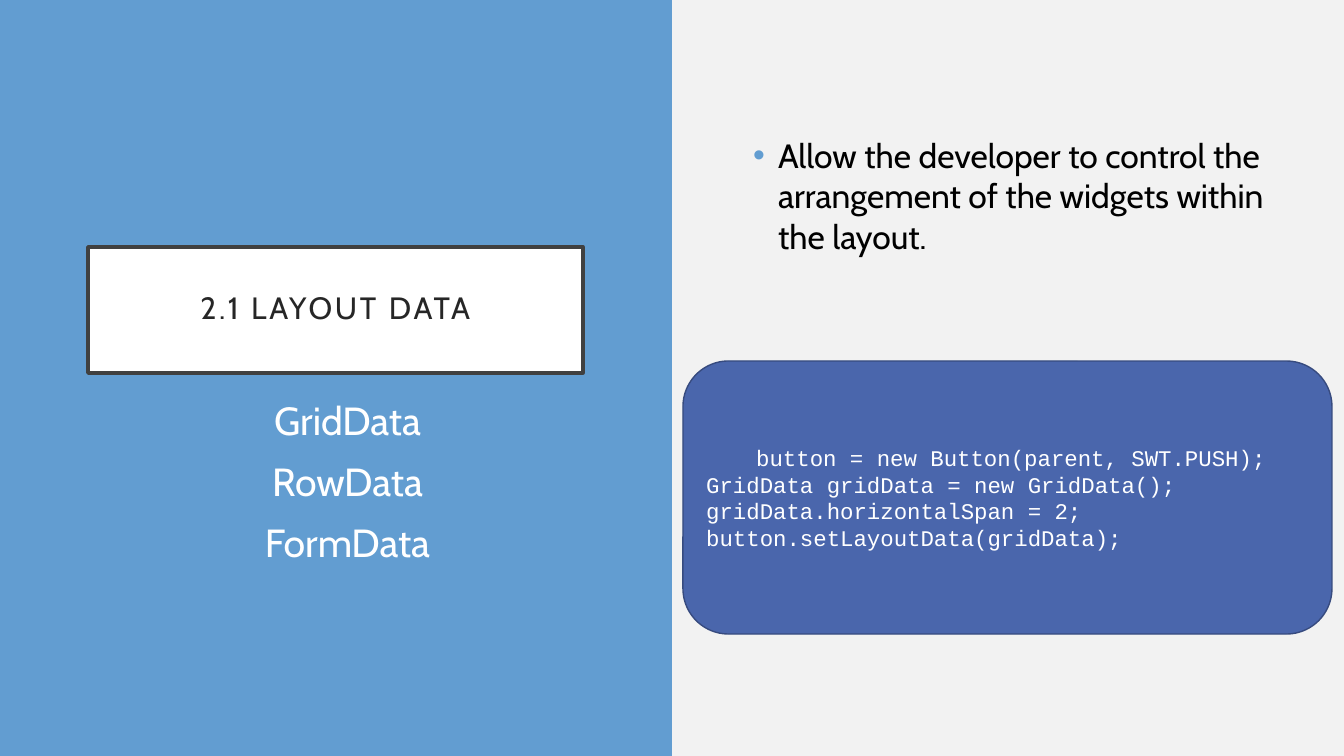
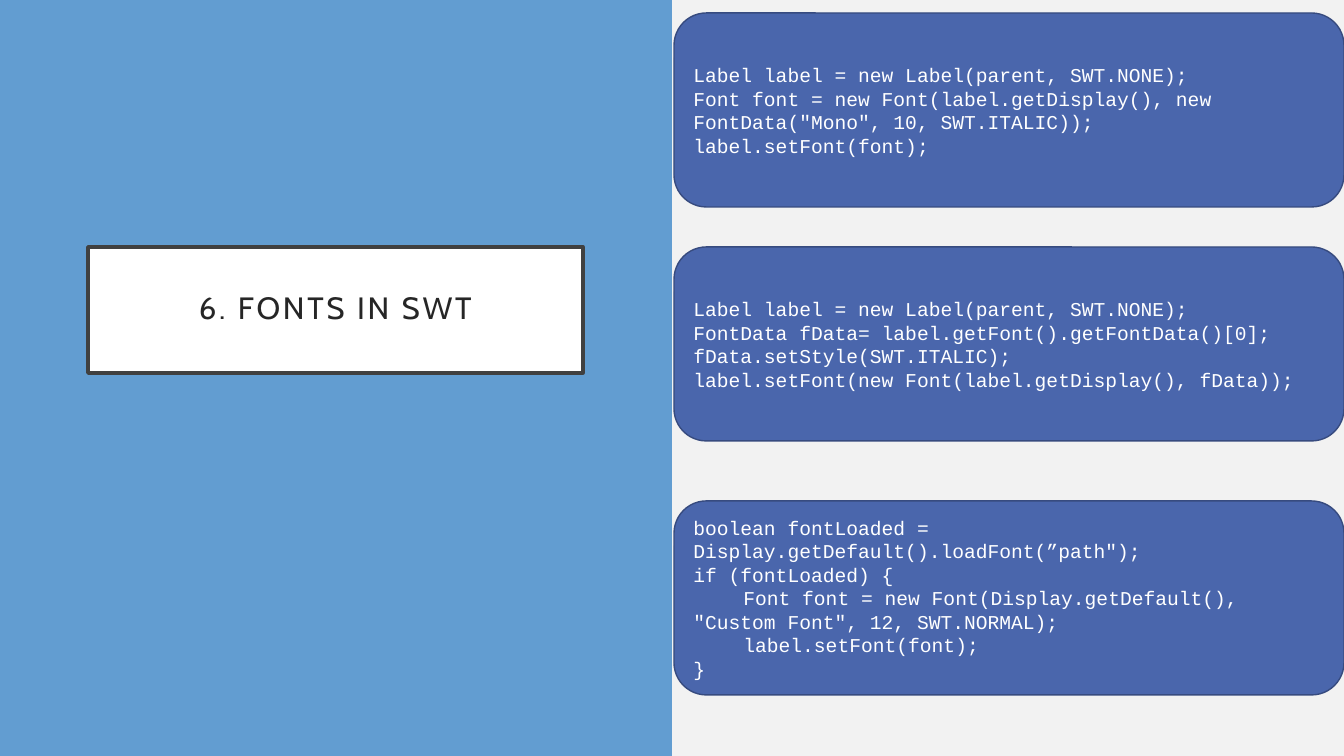
from lxml.etree import SubElement
from pptx import Presentation
from pptx.dml.color import RGBColor
from pptx.enum.shapes import MSO_SHAPE
from pptx.enum.text import MSO_ANCHOR, MSO_AUTO_SIZE, PP_ALIGN
from pptx.oxml.ns import qn
from pptx.util import Emu, Pt

COLORS = {
    "page": "F2F2F2", "band": "629DD1", "white": "FFFFFF", "frame": "404040",
    "title": "262626", "black": "000000", "code": "4A66AC", "code_line": "374B7F",
}
FONT, CODE_FONT = "Cabin", "Courier New"
SLIDE_W, SLIDE_H = 1344, 756
TITLE_BOX = (88, 247, 495, 126)
POINT_BOX = (743, 130, 531, 145)
NAMES_BOX = (123, 391, 418, 242)
CODE_INDENT = 50

SLIDES = [
    {
        "layout": 3,
        "title": "2.1 LAYOUT DATA",
        "lists": [
            {"box": POINT_BOX, "size": 24, "color": "black", "align": PP_ALIGN.LEFT,
             "margin": 25, "bullet": True,
             "items": ["Allow the developer to control the arrangement of the widgets within the layout."]},
            {"box": NAMES_BOX, "size": 28, "color": "white", "align": PP_ALIGN.CENTER,
             "margin": 31, "bullet": False,
             "items": ["GridData", "RowData", "FormData"]},
        ],
        "code_size": 16,
        "code_area": (683, 649, 273),
        "code": [
            (361, ["\tbutton = new Button(parent, SWT.PUSH);",
                   "GridData gridData = new GridData();",
                   "gridData.horizontalSpan = 2;",
                   "button.setLayoutData(gridData);"]),
        ],
    },
    {
        "layout": 5,
        "title": "6. FONTS IN SWT",
        "lists": [],
        "code_size": 14,
        "code_area": (674, 670, 194),
        "code": [
            (13, ["Label label = new Label(parent, SWT.NONE);",
                  "Font font = new Font(label.getDisplay(), new",
                  "FontData(\"Mono\", 10, SWT.ITALIC));",
                  "label.setFont(font);"]),
            (247, ["Label label = new Label(parent, SWT.NONE);",
                   "FontData fData= label.getFont().getFontData()[0];",
                   "fData.setStyle(SWT.ITALIC);",
                   "label.setFont(new Font(label.getDisplay(), fData));"]),
            (501, ["boolean fontLoaded =",
                   "Display.getDefault().loadFont(”path\");",
                   "if (fontLoaded) {",
                   "\tFont font = new Font(Display.getDefault(),",
                   "\"Custom Font\", 12, SWT.NORMAL);",
                   "\tlabel.setFont(font);",
                   "}"]),
        ],
    },
]


def px(n):
    return Emu(round(n * 914400 / 100.8))


def rgb(name):
    return RGBColor.from_string(COLORS[name])


def set_attrs(obj, **values):
    for key, value in values.items():
        setattr(obj, key, value)


def place(sp, box):
    set_attrs(sp, **dict(zip(("left", "top", "width", "height"), map(px, box))))


def paint(sp, fill, line=None, weight=1):
    sp.fill.solid()
    sp.fill.fore_color.rgb = rgb(fill)
    if line:
        sp.line.color.rgb = rgb(line)
        sp.line.width = Pt(weight)
    else:
        sp.line.fill.background()


def write(p, text, font, size, color):
    r = p.add_run()
    r.text = text
    set_attrs(r.font, name=font, size=Pt(size))
    r.font.color.rgb = rgb(color)
    return r


def paragraphs(tf, items):
    for i, item in enumerate(items):
        yield i, item, tf.paragraphs[0] if i == 0 else tf.add_paragraph()


def indent(p, margin, first):
    pPr = p._p.get_or_add_pPr()
    pPr.set("marL", str(px(margin)))
    pPr.set("indent", str(px(first)))
    return pPr


def add_bullet(pPr, shown):
    if not shown:
        SubElement(pPr, qn("a:buNone"))
        return
    color = SubElement(pPr, qn("a:buClr"))
    SubElement(color, qn("a:srgbClr")).set("val", COLORS["band"])
    SubElement(pPr, qn("a:buFont")).set("typeface", "Arial")
    SubElement(pPr, qn("a:buChar")).set("char", "•")


def add_master_band(prs, s):
    band = s.shapes.add_shape(MSO_SHAPE.RECTANGLE, 0, 0, px(SLIDE_W / 2), px(SLIDE_H))
    band.shadow.inherit = False
    paint(band, "band")
    band._element.nvSpPr.cNvPr.set("id", "99")
    prs.slide_master.shapes._spTree.insert(2, band._element)


def fill_title(sp, text):
    place(sp, TITLE_BOX)
    paint(sp, "white", "frame", 2.5)
    tf = sp.text_frame
    margins = {f"margin_{side}": px(20) for side in ("left", "top", "right", "bottom")}
    set_attrs(tf, word_wrap=True, auto_size=MSO_AUTO_SIZE.NONE,
              vertical_anchor=MSO_ANCHOR.MIDDLE, **margins)
    p = tf.paragraphs[0]
    set_attrs(p, alignment=PP_ALIGN.CENTER, line_spacing=0.9, space_before=Pt(0))
    r = write(p, text, FONT, 22, "title")
    r._r.get_or_add_rPr().set("spc", "200")


def fill_list(sp, spec_list):
    place(sp, spec_list["box"])
    tf = sp.text_frame
    set_attrs(tf, word_wrap=True, auto_size=MSO_AUTO_SIZE.NONE, vertical_anchor=MSO_ANCHOR.TOP)
    margin, bullet = spec_list["margin"], spec_list["bullet"]
    for i, item, p in paragraphs(tf, spec_list["items"]):
        add_bullet(indent(p, margin, -margin if bullet else 0), bullet)
        set_attrs(p, alignment=spec_list["align"], space_before=Pt(10 if i else 0))
        write(p, item, FONT, spec_list["size"], spec_list["color"])


def add_code(s, box, lines, size):
    sp = s.shapes.add_shape(MSO_SHAPE.ROUNDED_RECTANGLE, *map(px, box))
    sp.shadow.inherit = False
    paint(sp, "code", "code_line")
    tf = sp.text_frame
    set_attrs(tf, word_wrap=True, vertical_anchor=MSO_ANCHOR.MIDDLE)
    for _, line, p in paragraphs(tf, lines):
        p.alignment = PP_ALIGN.LEFT
        indent(p, 0, CODE_INDENT if line.startswith("\t") else 0)
        write(p, line.lstrip("\t"), CODE_FONT, size, "white")


def main():
    prs = Presentation()
    set_attrs(prs, slide_width=px(SLIDE_W), slide_height=px(SLIDE_H))
    background = prs.slide_master.background.fill
    background.solid()
    background.fore_color.rgb = rgb("page")
    for n, content in enumerate(SLIDES):
        s = prs.slides.add_slide(prs.slide_layouts[content["layout"]])
        if n == 0:
            add_master_band(prs, s)
        fill_title(s.shapes.title, content["title"])
        bodies = [sp for sp in s.placeholders if sp.placeholder_format.idx]
        for sp, items in zip(bodies, content["lists"]):
            fill_list(sp, items)
        left, width, height = content["code_area"]
        for top, lines in content["code"]:
            add_code(s, (left, top, width, height), lines, content["code_size"])
    prs.save("out.pptx")


if __name__ == "__main__":
    main()
